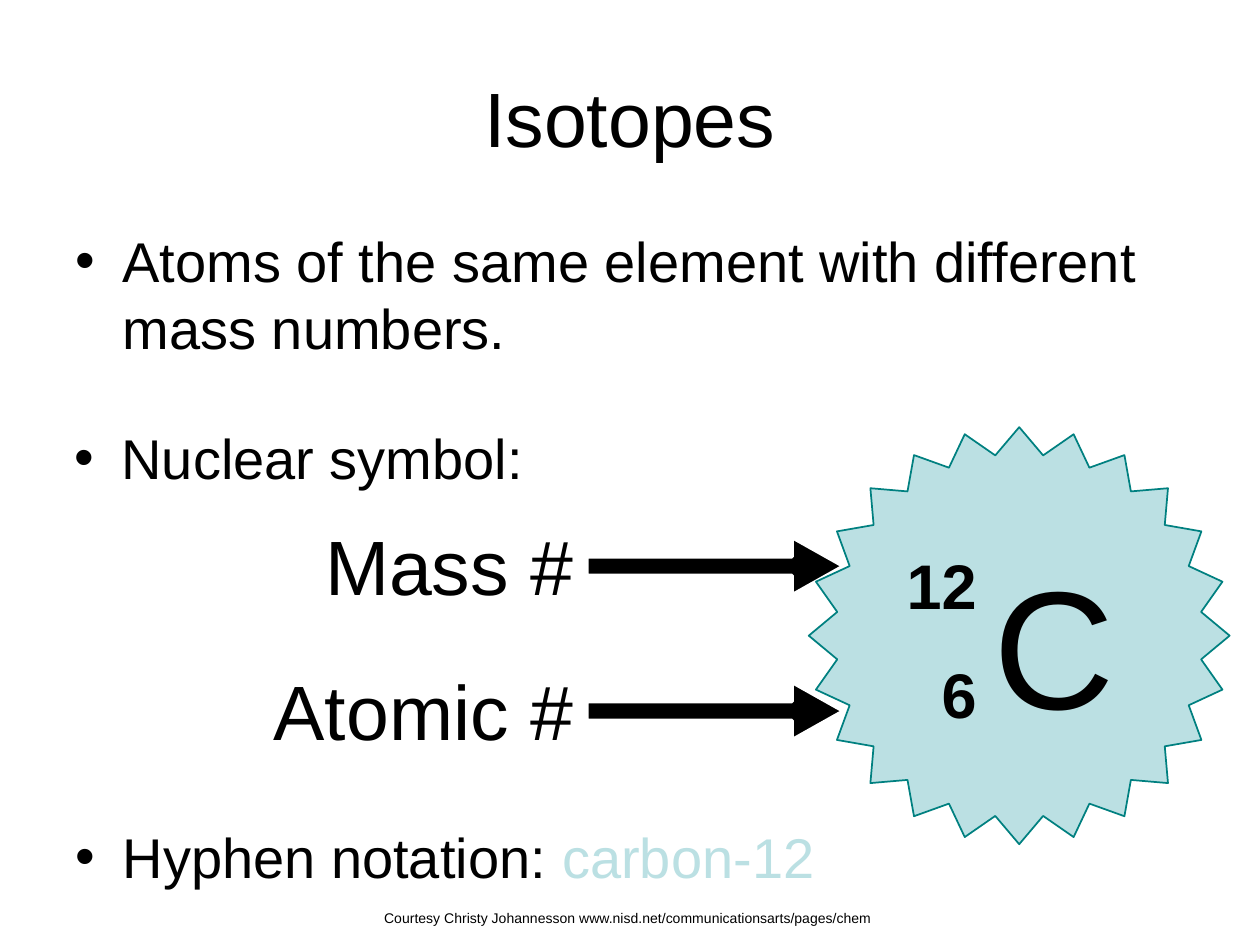
from lxml import etree
from pptx import Presentation
from pptx.dml.color import RGBColor
from pptx.enum.shapes import MSO_SHAPE as Shape
from pptx.enum.text import MSO_ANCHOR as Anchor, PP_ALIGN as Align
from pptx.oxml.ns import qn
from pptx.util import Pt

BLACK = RGBColor(0x00, 0x00, 0x00)
WHITE = RGBColor(0xFF, 0xFF, 0xFF)
PALE_TEAL = RGBColor(0xBB, 0xE0, 0xE3)
TEAL = RGBColor(0x00, 0x80, 0x80)

presentation = Presentation()
presentation.slide_width, presentation.slide_height = Pt(720), Pt(540)
slide = presentation.slides.add_slide(presentation.slide_layouts[5])


def style(paragraph, size, align=Align.LEFT, bold=False):
    paragraph.alignment = align
    for run in paragraph.runs:
        run.font.name = "Arial"
        run.font.size = Pt(size)
        run.font.bold = bold
        run.font.color.rgb = BLACK


def add_text(box, lines, size, align=Align.LEFT, bold=False, wrap=False):
    """Add a text box at box (left, top, width, height) and return its frame."""
    text_frame = slide.shapes.add_textbox(*map(Pt, box)).text_frame
    text_frame.word_wrap = wrap
    text_frame.text = lines
    for paragraph in text_frame.paragraphs:
        style(paragraph, size, align, bold)
    return text_frame


# Title
title = slide.shapes.title
title.left, title.top, title.width, title.height = Pt(36), Pt(21.6), Pt(648), Pt(90)
title.text_frame.text = "Isotopes"
title.text_frame.vertical_anchor = Anchor.MIDDLE
style(title.text_frame.paragraphs[0], 44, Align.CENTER)

# Bulleted statements
bullets = [
    ((36, 126, 648, 118.8), "Atoms of the same element with different mass numbers."),
    ((35.28, 238.3, 330.5, 67), "Nuclear symbol:"),
    ((36, 466.6, 553.7, 49.7), "Hyphen notation: "),
]
for box, text in bullets:
    paragraph = add_text(box, text, 32, wrap=True).paragraphs[0]
    properties = paragraph._p.get_or_add_pPr()
    properties.set("marL", str(Pt(27)))
    properties.set("indent", str(Pt(-27)))
    etree.SubElement(properties, qn("a:buFont")).set("typeface", "Arial")
    etree.SubElement(properties, qn("a:buChar")).set("char", "•")

# The last statement ends with a coloured example
paragraph.add_run().text = "carbon-12"
style(paragraph, 32)
paragraph.runs[-1].font.color.rgb = PALE_TEAL

# Labels with arrows to the symbol
for label, left, top in [("Mass #", 178.6, 293), ("Atomic #", 145.4, 375.8)]:
    add_text((left, top, 334.8 - left, 59.8), label, 44, Align.RIGHT)
    arrow = slide.shapes.add_shape(
        Shape.RIGHT_ARROW, Pt(335.2), Pt(top + 14), Pt(146.9), Pt(33.1))
    arrow.adjustments[0], arrow.adjustments[1] = 0.33, 0.89
    arrow.shadow.inherit = False
    arrow.fill.solid()
    arrow.fill.fore_color.rgb = BLACK
    arrow.line.color.rgb = WHITE
    arrow.line.width = Pt(2.25)

# Nuclear symbol on a star
star = slide.shapes.add_shape(
    Shape.STAR_24_POINT, Pt(462.2), Pt(244.1), Pt(240.5), Pt(238.3))
star.adjustments[0] = 0.436
star.shadow.inherit = False
star.fill.solid()
star.fill.fore_color.rgb = PALE_TEAL
star.line.color.rgb = TEAL
star.line.width = Pt(1)

numbers = add_text((510.5, 308.9, 54.7, 113), "12\n6", 36, Align.RIGHT, bold=True)
numbers.paragraphs[1].space_before = Pt(19)
add_text((560.9, 306, 83.5, 122.4), "C", 96)

# Credit
add_text((212.4, 516.2, 293.8, 26.6),
         "Courtesy Christy Johannesson www.nisd.net/communicationsarts/pages/chem", 8)

presentation.save("out.pptx")
